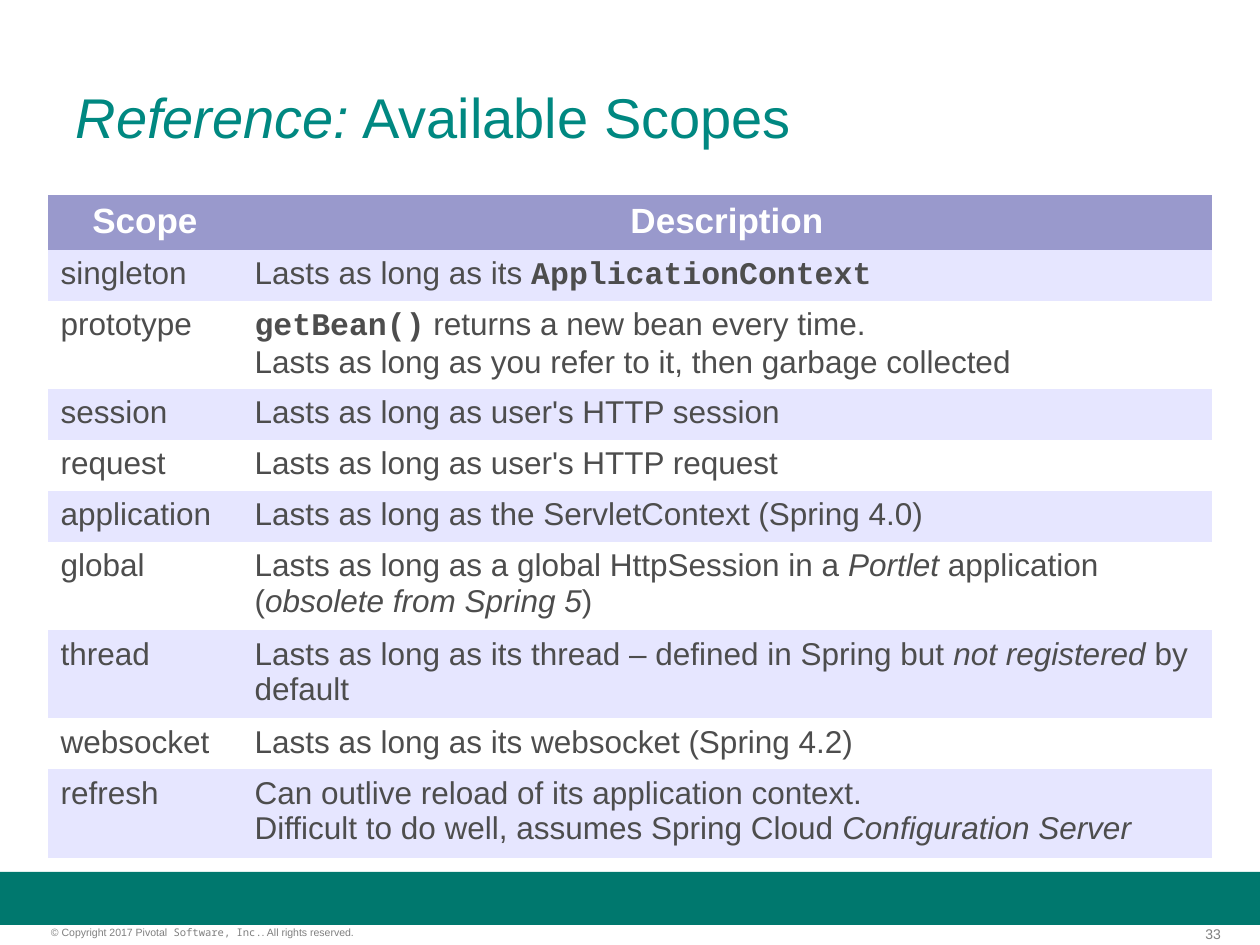
from pptx import Presentation, util as u
from pptx.dml.color import RGBColor
from pptx.enum import shapes, text

PX = 914400 / 126
SLIDE_WIDTH, SLIDE_HEIGHT = 1260, 945
TABLE_LEFT, TABLE_TOP = 48, 195
COLUMN_WIDTHS = (194, 970)
HEADER_HEIGHT, SHORT_ROW, TALL_ROW = 54, 51, 88
BAR_TOP, BAR_HEIGHT = 872, 53
FOOTER_TOP = BAR_TOP + BAR_HEIGHT + 1
NO_STYLE = "{2D5ABB26-0587-4C30-8999-92F81FD0307C}"

COLORS = {
    "title": "008881", "bar": "00786E", "footer": "7F7F7F", "body": "4D4D4D",
    "white": "FFFFFF", "header": "9999CC", "band": "E6E6FF",
}
SIZES = {"title": 32, "header": 20, "body": 18, "number": 8, "copyright": 6}
LEFT, CENTER, RIGHT = text.PP_ALIGN.LEFT, text.PP_ALIGN.CENTER, text.PP_ALIGN.RIGHT

PLAIN = {}
BOLD = {"bold": True}
ITALIC = {"italic": True}
CODE = {"font": "Courier New", "bold": True}
MONO = {"font": "Noto Sans Mono"}

TITLE = [("Reference:", ITALIC), (" Available Scopes", PLAIN)]
NUMBER = [("33", PLAIN)]
COPYRIGHT = [("© Copyright 2017 Pivotal", PLAIN), (" Software, Inc.", MONO),
             (". All rights reserved.", PLAIN)]
HEADINGS = ("Scope", "Description")
SCOPES = [
    ("singleton", SHORT_ROW, [
        [("Lasts as long as its ", PLAIN), ("ApplicationContext", CODE)]]),
    ("prototype", TALL_ROW, [
        [("getBean()", CODE),
         (" returns a new bean every time.\n"
          "Lasts as long as you refer to it, then garbage collected", PLAIN)]]),
    ("session", SHORT_ROW, [[("Lasts as long as user's HTTP session", PLAIN)]]),
    ("request", SHORT_ROW, [[("Lasts as long as user's HTTP request", PLAIN)]]),
    ("application", SHORT_ROW, [
        [("Lasts as long as the ServletContext (Spring 4.0)", PLAIN)]]),
    ("global", TALL_ROW, [
        [("Lasts as long as a global HttpSession in a ", PLAIN), ("Portlet", ITALIC),
         (" application (", PLAIN), ("obsolete from Spring 5", ITALIC), (")", PLAIN)]]),
    ("thread", TALL_ROW, [
        [("Lasts as long as its thread – defined in Spring but ", PLAIN),
         ("not registered", ITALIC), (" by default", PLAIN)]]),
    ("websocket", SHORT_ROW, [
        [("Lasts as long as its websocket (Spring 4.2)", PLAIN)]]),
    ("refresh", TALL_ROW, [
        [("Can outlive reload of its application context.", PLAIN)],
        [("Difficult to do well, assumes Spring Cloud ", PLAIN),
         ("Configuration Server", ITALIC)]]),
]


def px(length):
    """Turn pixels into EMU."""
    return u.Emu(round(length * PX))


def color(name):
    """Look up a named colour."""
    return RGBColor.from_string(COLORS[name])


def add_run(paragraph, words, size, ink, font="Arial", bold=False, italic=False):
    """Add styled words, with a line break at each newline."""
    for index, line in enumerate(words.split("\n")):
        if index:
            paragraph.add_line_break()
        run = paragraph.add_run()
        run.text = line
        run.font.name, run.font.size = font, u.Pt(size)
        run.font.bold, run.font.italic = bold, italic
        run.font.color.rgb = color(ink)


def write(frame, paragraphs, size, ink, align=LEFT):
    """Fill a text frame with paragraphs of (words, style) runs."""
    for index, runs in enumerate(paragraphs):
        paragraph = frame.add_paragraph() if index else frame.paragraphs[0]
        paragraph.alignment = align
        for words, style in runs:
            add_run(paragraph, words, size, ink, **style)


def add_title(slide):
    """Place and write the slide title."""
    title = slide.shapes.title
    title.left, title.top, title.width, title.height = map(px, (63, 38, 1134, 157))
    title.text_frame.vertical_anchor = text.MSO_ANCHOR.MIDDLE
    write(title.text_frame, [TITLE], SIZES["title"], "title")


def add_bar(slide):
    """Draw the band above the footer."""
    bar = slide.shapes.add_shape(
        shapes.MSO_SHAPE.RECTANGLE, *map(px, (0, BAR_TOP, SLIDE_WIDTH, BAR_HEIGHT)))
    bar.shadow.inherit = False
    bar.fill.solid()
    bar.fill.fore_color.rgb = color("bar")
    bar.line.fill.background()


def add_footer(slide, left, width, height, runs, size, align):
    """Add a small footer text without margins."""
    box = slide.shapes.add_textbox(*map(px, (left, FOOTER_TOP, width, height)))
    frame = box.text_frame
    frame.word_wrap = True
    frame.margin_left = frame.margin_right = frame.margin_top = frame.margin_bottom = 0
    write(frame, [runs], size, "footer", align)


def fill_cell(cell, fill, paragraphs, size, ink, align=LEFT):
    """Colour a table cell and write its text."""
    cell.fill.solid()
    cell.fill.fore_color.rgb = color(fill)
    write(cell.text_frame, paragraphs, size, ink, align)


def add_table(slide, heights):
    """Add an unstyled table with the given row heights."""
    table = slide.shapes.add_table(
        len(heights), len(COLUMN_WIDTHS),
        *map(px, (TABLE_LEFT, TABLE_TOP, sum(COLUMN_WIDTHS), sum(heights)))).table
    table.horz_banding = False
    table._tbl.tblPr.find("{*}tableStyleId").text = NO_STYLE
    for column, width in zip(table.columns, COLUMN_WIDTHS):
        column.width = px(width)
    for row, height in zip(table.rows, heights):
        row.height = px(height)
    return table


def add_scope_table(slide):
    """Build the banded table of scopes."""
    table = add_table(slide, [HEADER_HEIGHT] + [height for _, height, _ in SCOPES])
    for cell, heading in zip(table.rows[0].cells, HEADINGS):
        fill_cell(cell, "header", [[(heading, BOLD)]], SIZES["header"], "white", CENTER)
    for index, (scope, _, description) in enumerate(SCOPES):
        fill = "white" if index % 2 else "band"
        contents = ([[(scope, PLAIN)]], description)
        for cell, paragraphs in zip(table.rows[index + 1].cells, contents):
            fill_cell(cell, fill, paragraphs, SIZES["body"], "body")


def main():
    """Build and save the slide."""
    presentation = Presentation()
    presentation.slide_width, presentation.slide_height = px(SLIDE_WIDTH), px(SLIDE_HEIGHT)
    slide = presentation.slides.add_slide(presentation.slide_layouts[5])
    add_bar(slide)
    add_footer(slide, 1148, 73, 16, NUMBER, SIZES["number"], RIGHT)
    add_footer(slide, 51, 314, 13, COPYRIGHT, SIZES["copyright"], LEFT)
    add_title(slide)
    add_scope_table(slide)
    presentation.save("out.pptx")


if __name__ == "__main__":
    main()
